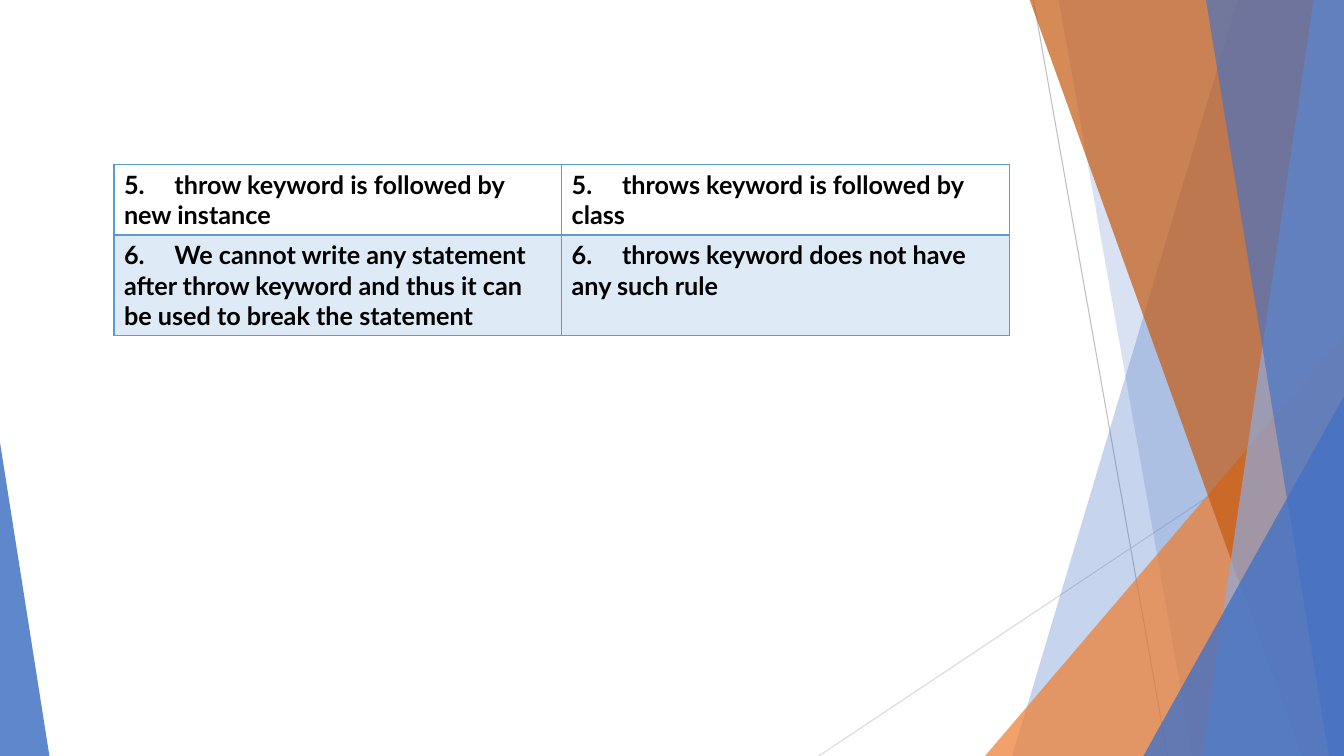
"""Build a slide comparing the throw and throws keywords beside a faceted border."""
from lxml import etree
from pptx import Presentation
from pptx.dml.color import RGBColor
from pptx.enum.shapes import MSO_CONNECTOR, MSO_SHAPE
from pptx.oxml.ns import qn
from pptx.util import Pt

STRAIGHT = MSO_CONNECTOR.STRAIGHT
TRIANGLE = MSO_SHAPE.ISOSCELES_TRIANGLE

ROWS = [
    (5, "throw keyword is followed by new instance",
     "throws keyword is followed by class"),
    (6, "We cannot write any statement after throw keyword and thus it can "
        "be used to break the statement",
     "throws keyword does not have any such rule"),
]

THEME = {
    "font": "Lato", "text_size": 18, "text": "000000", "table": "5B9BD5",
    "row_opacity": (0, 20), "bottom_border": (2, 1), "border": 1,
    "blue": "4472C4", "light_blue": "8FAADC",
    "orange": "ED7D31", "dark_orange": "C55A11",
    "gray": "BFBFBF", "light_gray": "D9D9D9", "hairline": 0.75,
}

EMU_PER_PX = 9144
WIDTH, HEIGHT = 1333, 750
BAND_TOP = -1
TABLE_LEFT, TABLE_TOP, COLUMN_WIDTH = 113, 163, 444
ROW_HEIGHTS = (70, 100)
TAB_STOP = 50

HAIRLINES = [
    ((1025, 0), (1158, HEIGHT), "gray"),
    ((WIDTH, 403), (812, HEIGHT), "light_gray"),
]
FACETS = [
    ("band", 1228, 1004, "blue", 30),
    ("band", 1050, 1183, "blue", 20),
    ("triangle", (977, 333, 356), 1, "orange", 72),
    ("band", 1021, 1291, "dark_orange", 70),
    ("band", 1303, 1192, "light_blue", 70),
    ("band", 1196, 1318, "blue", 65),
    ("triangle", (1134, 393, 199), 1, "blue", 80),
    ("triangle", (0, 439, 49), 0, "blue", 85),
]


def px(length):
    return length * EMU_PER_PX


def paint(fill, color, opacity):
    fill.solid()
    fill.fore_color.rgb = RGBColor.from_string(color)
    tint = fill._xPr.find(qn("a:solidFill"))[0]
    etree.SubElement(tint, qn("a:alpha"), val=str(opacity * 1000))


def add_hairline(page, start, end, color):
    line = page.shapes.add_connector(STRAIGHT, *map(px, start + end))
    line.line.color.rgb = RGBColor.from_string(THEME[color])
    line.line.width = Pt(THEME["hairline"])
    etree.SubElement(line._element.spPr, qn("a:effectLst"))


def add_band(page, top_x, bottom_x):
    outline = page.shapes.build_freeform(top_x, BAND_TOP, scale=EMU_PER_PX)
    outline.add_line_segments(
        [(WIDTH, BAND_TOP), (WIDTH, HEIGHT), (bottom_x, HEIGHT)], close=True)
    return outline.convert_to_shape()


def add_triangle(page, place, apex):
    left, top, width = place
    shape = page.shapes.add_shape(
        TRIANGLE, px(left), px(top), px(width), px(HEIGHT - top))
    shape.adjustments[0] = apex
    return shape


def add_borders(cell, bottom_width):
    properties = cell._tc.get_or_add_tcPr()
    for position, side in enumerate("LRTB"):
        width = bottom_width if side == "B" else THEME["border"]
        border = etree.Element(qn("a:ln" + side), w=str(Pt(width)))
        fill = etree.SubElement(border, qn("a:solidFill"))
        etree.SubElement(fill, qn("a:srgbClr"), val=THEME["table"])
        properties.insert(position, border)


def write_cell(cell, number, wording):
    paragraph = cell.text_frame.paragraphs[0]
    paragraph.text = f"{number}.\t{wording}"
    tabs = etree.SubElement(paragraph._p.get_or_add_pPr(), qn("a:tabLst"))
    etree.SubElement(tabs, qn("a:tab"), pos=str(px(TAB_STOP)), algn="l")
    font = paragraph.runs[0].font
    font.name = THEME["font"]
    font.size = Pt(THEME["text_size"])
    font.bold = True
    font.color.rgb = RGBColor.from_string(THEME["text"])


def add_comparison(page):
    columns = len(ROWS[0]) - 1
    table = page.shapes.add_table(
        len(ROWS), columns, px(TABLE_LEFT), px(TABLE_TOP),
        px(COLUMN_WIDTH * columns), px(sum(ROW_HEIGHTS))).table
    table.first_row = table.horz_banding = False
    for row, (number, *wordings) in enumerate(ROWS):
        table.rows[row].height = px(ROW_HEIGHTS[row])
        for column, wording in enumerate(wordings):
            cell = table.cell(row, column)
            write_cell(cell, number, wording)
            opacity = THEME["row_opacity"][row]
            if opacity:
                paint(cell.fill, THEME["table"], opacity)
            else:
                cell.fill.background()
            add_borders(cell, THEME["bottom_border"][row])


def main():
    deck = Presentation()
    deck.slide_width, deck.slide_height = px(WIDTH), px(HEIGHT)
    page = deck.slides.add_slide(deck.slide_layouts[6])
    for start, end, color in HAIRLINES:
        add_hairline(page, start, end, color)
    builders = {"band": add_band, "triangle": add_triangle}
    for kind, first, second, color, opacity in FACETS:
        shape = builders[kind](page, first, second)
        shape.shadow.inherit = False
        shape.line.fill.background()
        paint(shape.fill, THEME[color], opacity)
    add_comparison(page)
    deck.save("out.pptx")


if __name__ == "__main__":
    main()
